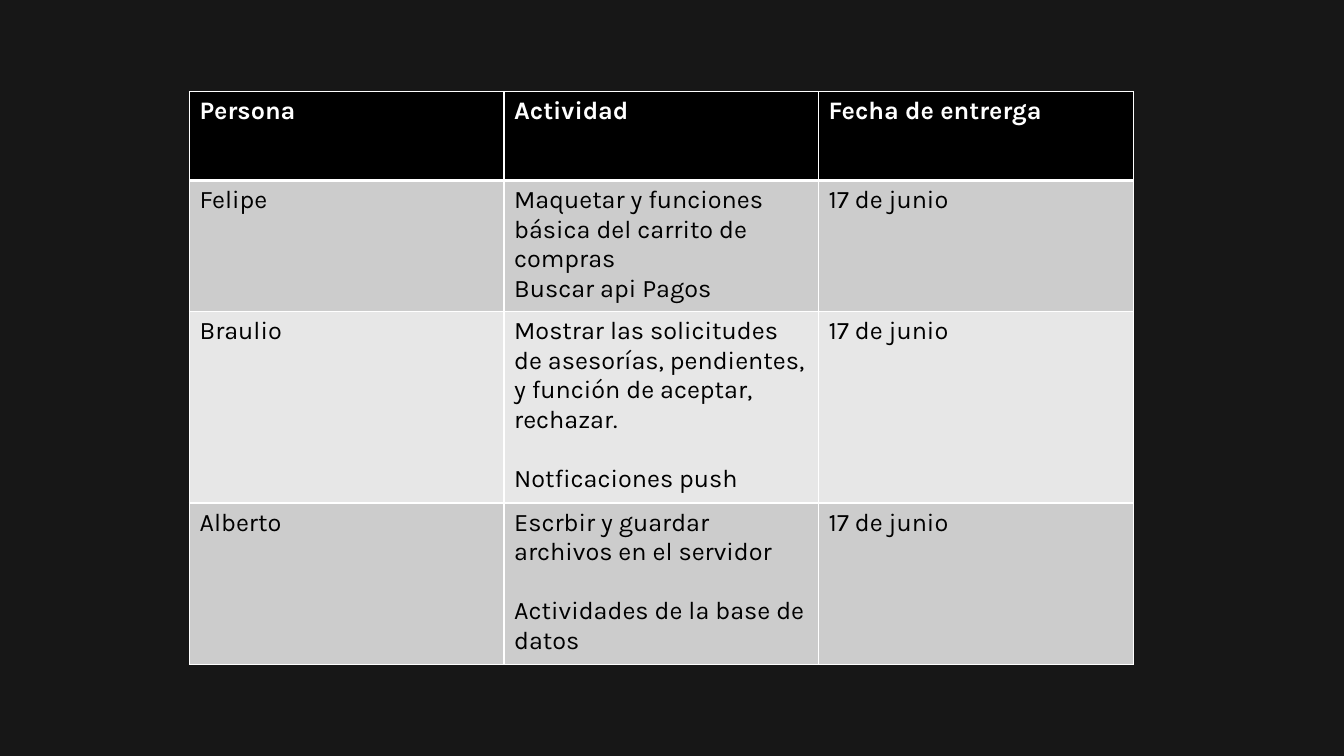
import lxml.etree
import pptx
import pptx.dml.color
import pptx.oxml.ns
import pptx.util

Inches = pptx.util.Inches
Pt = pptx.util.Pt
RGB = pptx.dml.color.RGBColor

DARK = RGB(0x17, 0x17, 0x17)
BLACK = RGB(0, 0, 0)
WHITE = RGB(0xFF, 0xFF, 0xFF)
GREY = RGB(0xCC, 0xCC, 0xCC)
PALE = RGB(0xE7, 0xE7, 0xE7)

HEAD = {"name": "Karla", "size": Pt(18), "bold": True}
BODY = {**HEAD, "bold": False}
THIN, THICK = Pt(1), Pt(3)
GAP = Pt(21)

DUE = "17 de junio"
# Each cell is a list of paragraphs; an empty gap is the space before the last.
ROWS = [
    (0.88, 0, ["Persona"], ["Actividad"], ["Fecha de entrerga"]),
    (1.3, 0, ["Felipe"],
     ["Maquetar y funciones básica del carrito de compras",
      "Buscar api Pagos"], [DUE]),
    (1.9, GAP, ["Braulio"],
     ["Mostrar las solicitudes de asesorías, pendientes, "
      "y función de aceptar, rechazar.", "Notficaciones push"], [DUE]),
    (1.6, GAP, ["Alberto"],
     ["Escrbir y guardar archivos en el servidor",
      "Actividades de la base de datos"], [DUE]),
]


def add_edge(cell, side, width):
    """Draw a white border on one side (L, R, T or B) of a cell."""
    qn = pptx.oxml.ns.qn
    props = cell._tc.get_or_add_tcPr()
    line = lxml.etree.SubElement(props, qn("a:ln" + side), w=str(width))
    fill = lxml.etree.SubElement(line, qn("a:solidFill"))
    lxml.etree.SubElement(fill, qn("a:srgbClr"), val=str(WHITE))


def set_font(font, style, ink):
    """Apply a dict of format values and a colour to a font."""
    for key, value in style.items():
        setattr(font, key, value)
    font.color.rgb = ink


def fill_cell(cell, lines, gap, style, ink, back):
    """Write the paragraphs of a cell and paint its ground."""
    cell.fill.solid()
    cell.fill.fore_color.rgb = back
    frame = cell.text_frame
    frame.text = "\n".join(lines)
    for para in frame.paragraphs:
        set_font(para.runs[0].font, style, ink)
    if len(lines) > 1:
        frame.paragraphs[-1].space_before = gap


def add_plan(slide):
    """Add the table of people, tasks and due dates."""
    high = sum(row[0] for row in ROWS)
    frame = slide.shapes.add_table(
        len(ROWS), 3, Inches(1.88), Inches(0.91), Inches(9.36), Inches(high))
    table = frame.table
    for r, (tall, gap, *cells) in enumerate(ROWS):
        table.rows[r].height = Inches(tall)
        style, ink = (BODY, BLACK) if r else (HEAD, WHITE)
        back = (GREY if r % 2 else PALE) if r else BLACK
        edges = {"L": THIN, "R": THIN,
                 "T": THICK if r == 1 else THIN,
                 "B": THICK if r == 0 else THIN}
        for c, lines in enumerate(cells):
            cell = table.cell(r, c)
            for side, width in edges.items():
                add_edge(cell, side, width)
            fill_cell(cell, lines, gap, style, ink, back)


def main():
    """Build the slide and save it."""
    deck = pptx.Presentation()
    deck.slide_width, deck.slide_height = Inches(13.33), Inches(7.5)
    slide = deck.slides.add_slide(deck.slide_layouts[6])
    slide.background.fill.solid()
    slide.background.fill.fore_color.rgb = DARK
    add_plan(slide)
    deck.save("out.pptx")


main()
